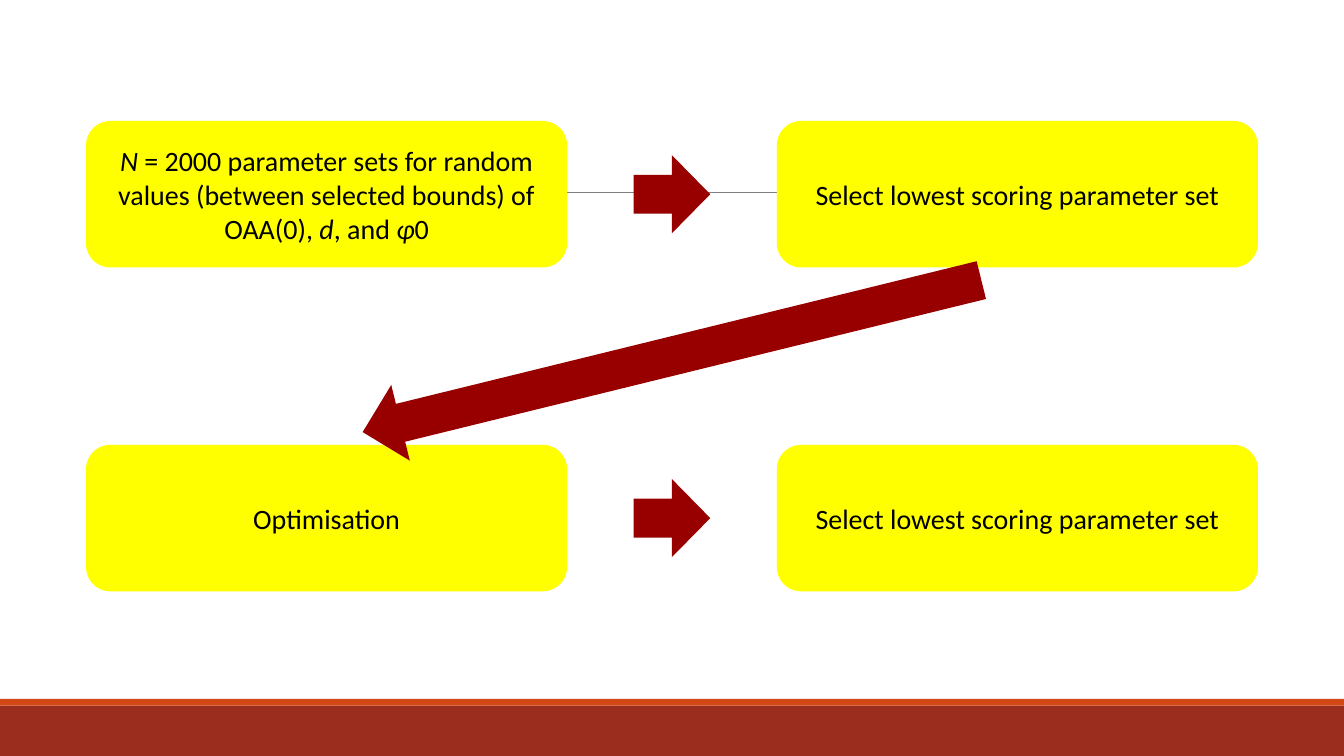
from lxml import etree
from pptx import Presentation
from pptx.dml.color import RGBColor
from pptx.enum import shapes, text
from pptx.oxml.ns import qn
from pptx.util import Inches, Pt

WIDTH, HEIGHT = 10, 5.625
BOX_WIDTH, BOX_HEIGHT = 3.58, 1.09
COLUMNS, ROWS = (0.64, 5.78), (0.9, 3.31)
ARROW_WIDTH, ARROW_LENGTH = 0.58, 0.57
SELECT = [[("Select lowest scoring parameter set", False)]]
# Each step is a list of paragraphs, each a list of (wording, italic)
STEPS = [
    [
        [
            [("N", True),
             (" = 2000 parameter sets for random values (between selected bounds) of", False)],
            [("OAA(0), ", False), ("d", True), (", and ", False), ("φ", True), ("0", False)],
        ],
        SELECT,
    ],
    [[[("Optimisation", False)]], SELECT],
]


def color(value):
    return RGBColor.from_string(value)


def add_filled(page, kind, box, fill):
    shape = page.shapes.add_shape(kind, *map(Inches, box))
    shape.shadow.inherit = False
    shape.fill.solid()
    shape.fill.fore_color.rgb = color(fill)
    shape.line.fill.background()
    return shape


def add_footer(page, box):
    left, top, width, height = box
    stripe = 0.05
    rectangle = shapes.MSO_SHAPE.RECTANGLE
    add_filled(page, rectangle, (left, top + stripe, width, height - stripe), "9B2D1F")
    add_filled(page, rectangle, (left, top, width, stripe), "D34817")


def add_rule(page, left, right, top):
    rule = page.shapes.add_connector(
        shapes.MSO_CONNECTOR.STRAIGHT, *map(Inches, (left, top, right, top)))
    rule.line.color.rgb = color("7F7F7F")
    rule.line.width = Pt(0.56)
    etree.SubElement(rule.element.spPr, qn("a:effectLst"))


def add_step(page, box, paragraphs):
    step = add_filled(page, shapes.MSO_SHAPE.FLOWCHART_ALTERNATE_PROCESS, box, "FFFF00")
    frame = step.text_frame
    settings = {"word_wrap": True, "vertical_anchor": text.MSO_ANCHOR.MIDDLE}
    settings.update({f"margin_{side}": Inches(0.1)
                     for side in ("left", "top", "right", "bottom")})
    for name, value in settings.items():
        setattr(frame, name, value)
    for index, spans in enumerate(paragraphs):
        para = frame.add_paragraph() if index else frame.paragraphs[0]
        para.alignment = text.PP_ALIGN.CENTER
        for wording, italic in spans:
            span = para.add_run()
            span.text = wording
            font = {"name": "Calibri", "size": Pt(15), "italic": italic}
            for name, value in font.items():
                setattr(span.font, name, value)
            span.font.color.rgb = color("000000")


def add_arrow(page, center_y, length, rotation):
    box = ((WIDTH - ARROW_WIDTH) / 2, center_y - length / 2, ARROW_WIDTH, length)
    arrow = add_filled(page, shapes.MSO_SHAPE.DOWN_ARROW, box, "980000")
    arrow.rotation = rotation


def add_flow(page):
    for top, row in zip(ROWS, STEPS):
        for left, paragraphs in zip(COLUMNS, row):
            add_step(page, (left, top, BOX_WIDTH, BOX_HEIGHT), paragraphs)
        # Arrow between the two steps of the row
        add_arrow(page, top + BOX_HEIGHT / 2, ARROW_LENGTH, 270)
    # Long arrow back to the start of the second row
    add_arrow(page, 2.65, 4.74, 76.2)


def main():
    deck = Presentation()
    deck.slide_width, deck.slide_height = Inches(WIDTH), Inches(HEIGHT)
    page = deck.slides.add_slide(deck.slide_layouts[6])
    page.background.fill.solid()
    page.background.fill.fore_color.rgb = color("FFFFFF")
    add_footer(page, (0, 5.2, WIDTH, HEIGHT - 5.2))
    add_rule(page, 0.98, 9.15, 1.43)
    add_flow(page)
    deck.save("out.pptx")


if __name__ == "__main__":
    main()
